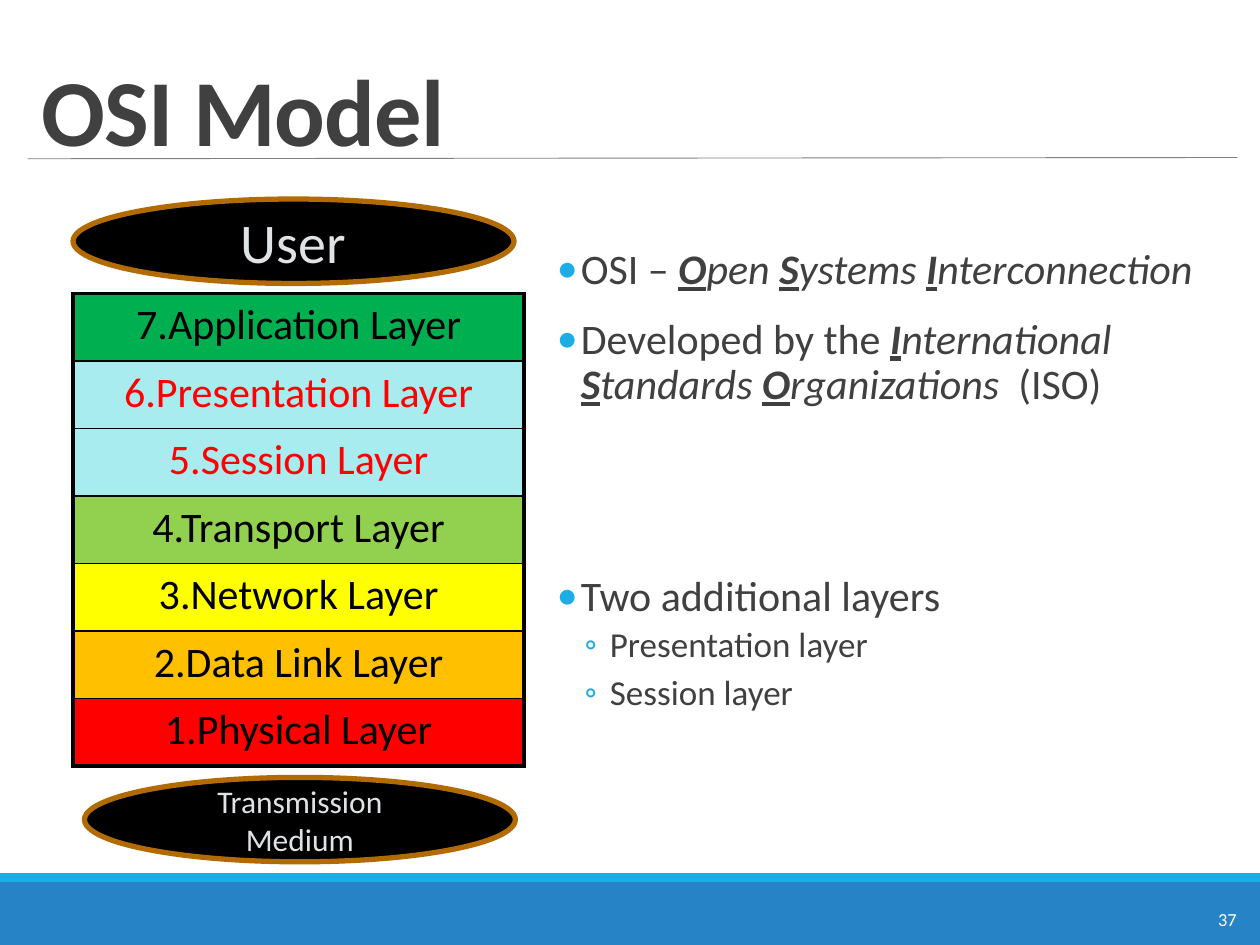
from pptx import Presentation
from pptx.dml.color import RGBColor
from pptx.enum import shapes, text
from pptx.oxml import parse_xml
from pptx.oxml.ns import nsdecls
from pptx.util import Inches, Pt

# Content
TITLE = "OSI Model"
PAGE = "37"
LAYERS = [  # name, fill, text colour
    ("Application", "00B050", "000000"),
    ("Presentation", "A8ECEF", "FF0000"),
    ("Session", "A8ECEF", "FF0000"),
    ("Transport", "92D050", "000000"),
    ("Network", "FFFF00", "000000"),
    ("Data Link", "FFC000", "000000"),
    ("Physical", "FF0000", "000000"),
]
ENDS = [  # text, size, box
    ("User", 32, (0.58, 1.58, 3.5, 0.67)),
    ("Transmission\vMedium", 18, (0.67, 6.17, 3.42, 0.67)),
]
BANDS = [("2683C6", (0, 7, 10, 0.5)), ("1CADE4", (0, 6.93, 10, 0.07))]
# Each point: level, space before, runs of (text, style letters)
POINTS = [
    (0, 12, [("OSI – ", ""), ("O", "biu"), ("pen ", "i"), ("S", "biu"),
             ("ystems ", "i"), ("I", "biu"), ("nterconnection", "i")]),
    (0, 12, [("Developed by the ", ""), ("I", "biu"), ("nternational ", "i"),
             ("S", "biu"), ("tandards ", "i"), ("O", "biu"),
             ("rganizations  ", "i"), ("(ISO)", "")]),
    (0, 93, [("Two additional layers", "")]),
    (1, 2, [("Presentation layer", "")]),
    (1, 2, [("Session layer", "")]),
]
LEVELS = [  # bullet, size, space after, left, hanging
    ("•", 24, 2, 0.19, 0.19),
    ("◦", 20, 4, 0.42, 0.2),
]
DARK, BLUE, PALE = "404040", "1CADE4", "DFE3E5"


def rgb(code):
    return RGBColor.from_string(code)


def put(obj, **vals):
    for key, val in vals.items():
        setattr(obj, key, val)


def place(obj, box):
    put(obj, **dict(zip(("left", "top", "width", "height"), map(Inches, box))))


def style(font, size, color, **more):
    put(font, name="Calibri", size=Pt(size), **more)
    font.color.rgb = rgb(color)


def shape(kind, box, fill):
    item = slide.shapes.add_shape(kind, *map(Inches, box))
    item.shadow.inherit = False
    item.fill.solid()
    item.fill.fore_color.rgb = rgb(fill)
    item.line.fill.background()
    return item


def border(cell, side, width):
    cell._tc.get_or_add_tcPr().append(parse_xml(
        f'<a:{side} {nsdecls("a")} w="{Pt(width)}"><a:solidFill>'
        f'<a:srgbClr val="000000"/></a:solidFill></a:{side}>'))


def bullet(para, mark, left, hang):
    ppr = para._p.get_or_add_pPr()
    ppr.set("marL", str(Inches(left)))
    ppr.set("indent", str(-Inches(hang)))
    for xml in (f'<a:buClr {nsdecls("a")}><a:srgbClr val="{BLUE}"/></a:buClr>',
                f'<a:buFont {nsdecls("a")} typeface="Calibri"/>',
                f'<a:buChar {nsdecls("a")} char="{mark}"/>'):
        ppr.append(parse_xml(xml))


deck = Presentation()
put(deck, slide_width=Inches(10), slide_height=Inches(7.5))
slide = deck.slides.add_slide(deck.slide_layouts[5])

# Footer bands, title rule and page number
for fill, box in BANDS:
    shape(shapes.MSO_SHAPE.RECTANGLE, box, fill)
rule = slide.shapes.add_connector(
    shapes.MSO_CONNECTOR.STRAIGHT, *map(Inches, (0.22, 1.26, 9.82, 1.25)))
rule.line.width = Pt(0.5)
rule.line.color.rgb = rgb("808080")
rule._element.spPr.append(parse_xml(f'<a:effectLst {nsdecls("a")}/>'))
page = slide.shapes.add_textbox(*map(Inches, (9.57, 7.16, 0.37, 0.28)))
page.text_frame.text = PAGE
style(page.text_frame.paragraphs[0].runs[0].font, 10.5, "FFFFFF")

# Title
title = slide.shapes.title
place(title, (0.23, 0.31, 9.6, 1.06))
frame = title.text_frame
frame.text = TITLE
put(frame, vertical_anchor=text.MSO_ANCHOR.BOTTOM,
    auto_size=text.MSO_AUTO_SIZE.NONE)
para = frame.paragraphs[0]
put(para, alignment=text.PP_ALIGN.LEFT, line_spacing=0.85)
style(para.runs[0].font, 54, DARK, bold=True)
para.runs[0].font._element.set("spc", "-50")

# Bullet points
frame = slide.shapes.add_textbox(
    *map(Inches, (4.42, 1.92, 5.25, 4.75))).text_frame
put(frame, word_wrap=True, margin_left=0, margin_right=0)
for i, (level, before, runs) in enumerate(POINTS):
    mark, size, after, left, hang = LEVELS[level]
    para = frame.add_paragraph() if i else frame.paragraphs[0]
    put(para, level=level, line_spacing=0.9,
        space_before=Pt(before), space_after=Pt(after))
    bullet(para, mark, left, hang)
    for words, marks in runs:
        run = para.add_run()
        run.text = words
        style(run.font, size, DARK, bold="b" in marks,
              italic="i" in marks, underline="u" in marks)

# Layer table
count = len(LAYERS)
table = slide.shapes.add_table(
    count, 1, *map(Inches, (0.58, 2.33, 3.58, 3.75))).table
put(table, first_row=False, horz_banding=False)
for i, (name, fill, color) in enumerate(LAYERS):
    cell = table.cell(i, 0)
    cell.text = f"{count - i}.{name} Layer"
    para = cell.text_frame.paragraphs[0]
    para.alignment = text.PP_ALIGN.CENTER
    style(para.runs[0].font, 24, color)
    border(cell, "lnL", 2.25)
    border(cell, "lnR", 2.25)
    border(cell, "lnT", 1 if i else 2.25)
    border(cell, "lnB", 1 if i < count - 1 else 2.25)
    cell.fill.solid()
    cell.fill.fore_color.rgb = rgb(fill)

# Ellipses above and below the stack
for words, size, box in ENDS:
    oval = shape(shapes.MSO_SHAPE.OVAL, box, "000000")
    oval.line.width = Pt(3)
    oval.line.color.rgb = rgb("B26B02")
    frame = oval.text_frame
    put(frame, word_wrap=False, vertical_anchor=text.MSO_ANCHOR.MIDDLE)
    para = frame.paragraphs[0]
    para.text = words
    para.alignment = text.PP_ALIGN.CENTER
    for run in para.runs:
        style(run.font, size, PALE)

deck.save("out.pptx")
